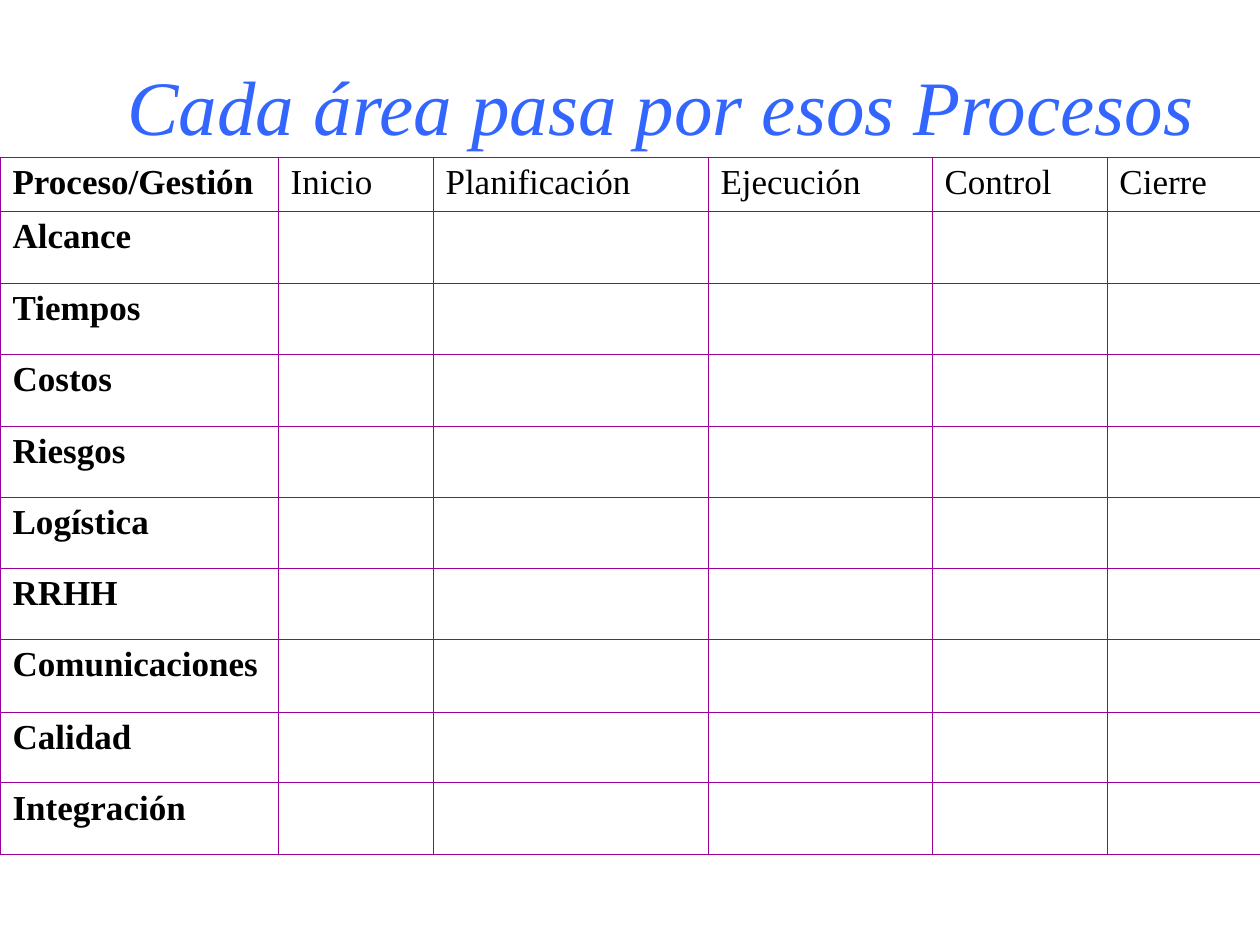
from lxml import etree
from pptx import Presentation
from pptx.dml.color import RGBColor
from pptx.enum.text import MSO_ANCHOR, MSO_AUTO_SIZE, PP_ALIGN
from pptx.oxml.ns import qn
from pptx.util import Pt

PX_PER_INCH = 126
EMU_PER_INCH = 914400
TOP, BOTTOM = MSO_ANCHOR.TOP, MSO_ANCHOR.BOTTOM
LEFT, RIGHT = PP_ALIGN.LEFT, PP_ALIGN.RIGHT
NO_AUTOFIT = MSO_AUTO_SIZE.NONE

BLUE = RGBColor(0x33, 0x66, 0xFF)
BLACK = RGBColor(0x00, 0x00, 0x00)
PURPLE = RGBColor(0x99, 0x00, 0x99)

PROCESSES = ["Inicio", "Planificación", "Ejecución", "Control", "Cierre"]
AREAS = ["Alcance", "Tiempos", "Costos", "Riesgos", "Logística", "RRHH",
         "Comunicaciones", "Calidad", "Integración"]
COLUMN_WIDTHS = [278, 155, 275, 224, 175, 153]
ROW_HEIGHTS = [54, 72, 71, 72, 71, 71, 71, 73, 71, 72]


def px(length):
    return length * EMU_PER_INCH // PX_PER_INCH


class SlideBuilder:
    font_name = "Times New Roman"
    border_width = Pt(0.45)

    def __init__(self, slide):
        self.slide = slide

    def add_run(self, paragraph, text, size, color, bold=False, italic=False):
        run = paragraph.add_run()
        run.text = text
        run.font.name = self.font_name
        run.font.size = Pt(size)
        run.font.bold = bold
        run.font.italic = italic
        run.font.color.rgb = color

    def title(self, text, left, top, width, height):
        shape = self.slide.shapes.title
        shape.left, shape.top = px(left), px(top)
        shape.width, shape.height = px(width), px(height)
        frame = shape.text_frame
        frame.auto_size = NO_AUTOFIT
        frame.word_wrap = True
        frame.vertical_anchor = BOTTOM
        paragraph = frame.paragraphs[0]
        paragraph.alignment = RIGHT
        self.add_run(paragraph, text, 44, BLUE, italic=True)

    def border(self, cell):
        properties = cell._tc.get_or_add_tcPr()
        for position, side in enumerate(("a:lnL", "a:lnR", "a:lnT", "a:lnB")):
            line = etree.Element(qn(side), w=str(int(self.border_width)))
            fill = etree.SubElement(line, qn("a:solidFill"))
            etree.SubElement(fill, qn("a:srgbClr"), val=str(PURPLE))
            properties.insert(position, line)

    def table(self, left, top, column_widths, row_heights, headings, row_labels):
        """Draw a grid with a heading row and labels in its first column."""
        table = self.slide.shapes.add_table(
            len(row_heights), len(column_widths), px(left), px(top),
            px(sum(column_widths)), px(sum(row_heights))).table
        table.first_row = False
        table.horz_banding = False
        for column, width in zip(table.columns, column_widths):
            column.width = px(width)
        for row, height in zip(table.rows, row_heights):
            row.height = px(height)
        for cell in table.iter_cells():
            cell.fill.background()
            cell.vertical_anchor = TOP
            self.border(cell)
        for index, text in enumerate(headings):
            self.label(table.cell(0, index), text, bold=index == 0)
        for index, text in enumerate(row_labels, start=1):
            self.label(table.cell(index, 0), text, bold=True)

    def label(self, cell, text, bold):
        paragraph = cell.text_frame.paragraphs[0]
        paragraph.alignment = LEFT
        self.add_run(paragraph, text, 20, BLACK, bold=bold)


def main():
    presentation = Presentation()
    presentation.slide_width = px(1260)
    presentation.slide_height = px(945)
    title_only = presentation.slide_layouts[5]
    builder = SlideBuilder(presentation.slides.add_slide(title_only))
    builder.title("Cada área pasa por esos Procesos", 63, 0, 1144, 157)
    builder.table(0, 157, COLUMN_WIDTHS, ROW_HEIGHTS,
                  ["Proceso/Gestión"] + PROCESSES, AREAS)
    presentation.save("out.pptx")


if __name__ == "__main__":
    main()
